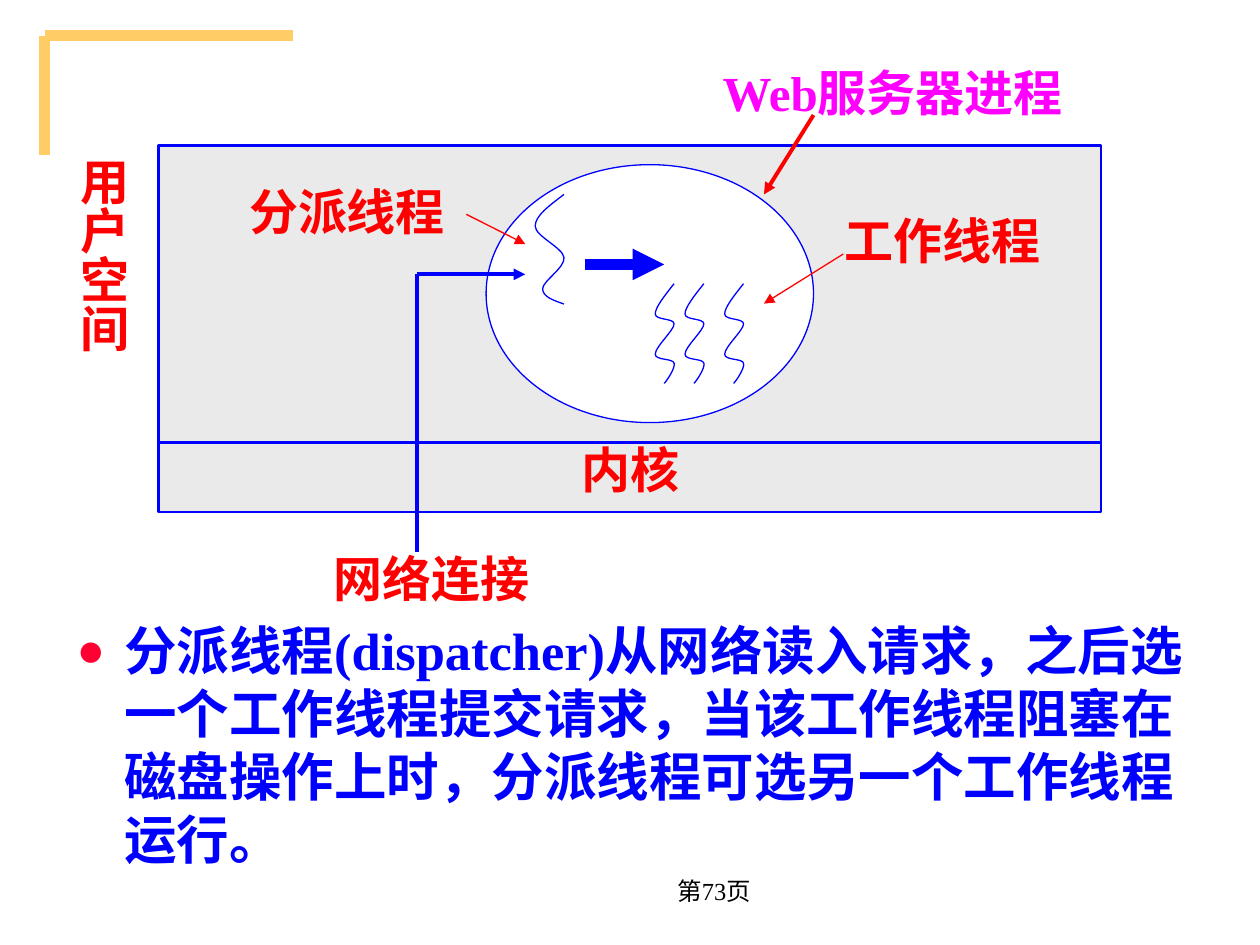
from lxml import etree
from pptx import Presentation
from pptx import util as u
from pptx.dml.color import RGBColor
from pptx.enum import shapes, text
from pptx.oxml.ns import qn

FONT = "Times New Roman"
BLUE, RED, MAGENTA, ORANGE = "0000FF", "FF0000", "FF00FF", "FFCC66"

# Curves in cm from their start: two control points and an end per segment
DISPATCHER_WAVE = [
    [(-0.3, 0.23), (-0.58, 0.43), (-0.58, 0.64)],
    [(-0.58, 0.84), (-0.03, 1.07), (0, 1.27)],
    [(0.03, 1.47), (-0.43, 1.75), (-0.43, 1.9)],
    [(-0.43, 2.06), (-0.23, 2.13), (0, 2.21)],
]
WORKER_WAVE = [
    [(-0.2, 0.25), (-0.38, 0.48), (-0.38, 0.61)],
    [(-0.38, 0.74), (0, 0.69), (0, 0.81)],
    [(0, 0.94), (-0.38, 1.27), (-0.38, 1.42)],
    [(-0.38, 1.55), (-0.03, 1.5), (0, 1.6)],
    [(0.03, 1.7), (-0.15, 1.96), (-0.2, 2.01)],
]


def rgb(color):
    return RGBColor.from_string(color)


def set_line(sp, color, width):
    sp.line.color.rgb = rgb(color)
    sp.line.width = u.Pt(width)


def add_run(p, content, size, color, bold=True):
    r = p.add_run()
    r.text = content
    r.font.name, r.font.size, r.font.bold = FONT, u.Pt(size), bold
    r.font.color.rgb = rgb(color)


def add_line(s, start, end, color, width, arrow=False):
    ends = [u.Cm(v) for v in (*start, *end)]
    cx = s.shapes.add_connector(shapes.MSO_CONNECTOR.STRAIGHT, *ends)
    set_line(cx, color, width)
    if arrow:
        etree.SubElement(cx.line._get_or_add_ln(), qn("a:tailEnd"), type="triangle")
    etree.SubElement(cx._element.spPr, qn("a:effectLst"))


def add_area(s, kind, box, fill):
    sp = s.shapes.add_shape(kind, *[u.Cm(v) for v in box])
    sp.shadow.inherit = False
    sp.fill.solid()
    sp.fill.fore_color.rgb = rgb(fill)
    set_line(sp, BLUE, 1.5)
    return sp


def add_text(s, content, box, color, size, bold, align):
    sp = s.shapes.add_textbox(*[u.Cm(v) for v in box])
    tf = sp.text_frame
    tf.word_wrap = True
    p = tf.paragraphs[0]
    p.alignment = align
    add_run(p, content, size, color, bold)
    return tf


def add_label(s, content, box, color=RED):
    tf = add_text(s, content, box, color, 28, True, text.PP_ALIGN.CENTER)
    tf.auto_size = text.MSO_AUTO_SIZE.SHAPE_TO_FIT_TEXT
    return tf


def add_thread(s, start, segments):
    """Draw a wavy line through the segment ends, each bent by its control points."""
    points = [[(u.Cm(start[0] + x), u.Cm(start[1] + y)) for x, y in seg]
              for seg in segments]
    fb = s.shapes.build_freeform(u.Cm(start[0]), u.Cm(start[1]))
    fb.add_line_segments([seg[-1] for seg in points], close=False)
    sp = fb.convert_to_shape()
    # Turn the straight segments into Bezier curves
    straight = list(sp._element.iter(qn("a:lnTo")))
    for old, seg in zip(straight, points):
        curve = etree.Element(qn("a:cubicBezTo"))
        for x, y in seg:
            etree.SubElement(curve, qn("a:pt"), x=str(x - sp.left), y=str(y - sp.top))
        old.getparent().replace(old, curve)
    sp.shadow.inherit = False
    sp.fill.background()
    set_line(sp, BLUE, 0.75)


def add_body(s, content):
    sp = s.placeholders[1]
    sp.left, sp.top, sp.width, sp.height = [u.Cm(v) for v in (1.29, 12.34, 22.81, 5.99)]
    tf = sp.text_frame
    tf.auto_size = text.MSO_AUTO_SIZE.NONE
    p = tf.paragraphs[0]
    # Red bullet with a hanging indent
    pPr = p._p.get_or_add_pPr()
    pPr.set("marL", str(u.Cm(0.96)))
    pPr.set("indent", str(-u.Cm(0.96)))
    bullet_color = etree.SubElement(pPr, qn("a:buClr"))
    etree.SubElement(bullet_color, qn("a:srgbClr"), val="FF0033")
    etree.SubElement(pPr, qn("a:buSzPct"), val="90000")
    etree.SubElement(pPr, qn("a:buChar"), char="●")
    p.space_before = u.Pt(0)
    add_run(p, content, 30, BLUE)


def main():
    prs = Presentation()
    prs.slide_width, prs.slide_height = u.Cm(25.4), u.Cm(19.05)
    s = prs.slides.add_slide(prs.slide_layouts[1])
    title = s.shapes.title._element
    title.getparent().remove(title)

    # Corner ornament and page number
    corner = (0.9, 0.72)
    for end in ((5.9, 0.72), (0.9, 3.12)):
        add_line(s, corner, end, ORANGE, 6)
    tf = add_text(s, "第73页", (10.11, 17.32, 5.28, 1.27), "000000", 14, False,
                  text.PP_ALIGN.RIGHT)
    tf.vertical_anchor = text.MSO_ANCHOR.MIDDLE

    add_body(s, "分派线程(dispatcher)从网络读入请求，之后选一个工作线程提交请求，"
                "当该工作线程阻塞在磁盘操作上时，分派线程可选另一个工作线程运行。")

    # User space above the kernel, with the server process inside
    add_area(s, shapes.MSO_SHAPE.RECTANGLE, (3.2, 2.93, 19, 7.39), "EAEAEA")
    add_line(s, (3.2, 8.92), (22.2, 8.92), BLUE, 1.5)
    process = add_area(s, shapes.MSO_SHAPE.OVAL, (9.8, 3.32, 6.6, 5.2), "FFFFFF")
    set_line(process, BLUE, 0.75)

    # Threads
    add_thread(s, (11.37, 3.92), DISPATCHER_WAVE)
    for x in (13.59, 14.19, 14.99):
        add_thread(s, (x, 5.72), WORKER_WAVE)
    add_line(s, (11.79, 5.33), (13.39, 5.33), BLUE, 6, arrow=True)

    # Network connection
    add_line(s, (8.4, 5.53), (8.4, 11.13), BLUE, 2.25)
    add_line(s, (8.4, 5.53), (10.59, 5.53), BLUE, 2.25, arrow=True)

    # Labels and their pointers
    for content, box, color in (
        ("分派线程", (4.39, 3.53, 5.21, 1.45), RED),
        ("工作线程", (16.6, 4.11, 4.8, 1.45), RED),
        ("内核", (10, 8.74, 5.41, 1.45), RED),
        ("网络连接", (5.6, 10.93, 6.2, 1.45), RED),
        ("Web服务器进程", (14.19, 1.13, 7.61, 2.64), MAGENTA),
    ):
        add_label(s, content, box, color)
    tf = add_label(s, "用户空间", (1.12, 2.92, 1.68, 5.21))
    tf._txBody.bodyPr.set("vert", "eaVert")
    tf.margin_left = tf.margin_right = u.Cm(0.13)
    tf.margin_top = tf.margin_bottom = u.Cm(0.25)
    for start, end, width in (
        ((9.4, 4.32), (10.59, 4.92), 0.75),
        ((17, 5.12), (15.4, 6.12), 0.75),
        ((16.4, 2.32), (15.4, 3.92), 2.25),
    ):
        add_line(s, start, end, RED, width, arrow=True)

    prs.save("out.pptx")


if __name__ == "__main__":
    main()
